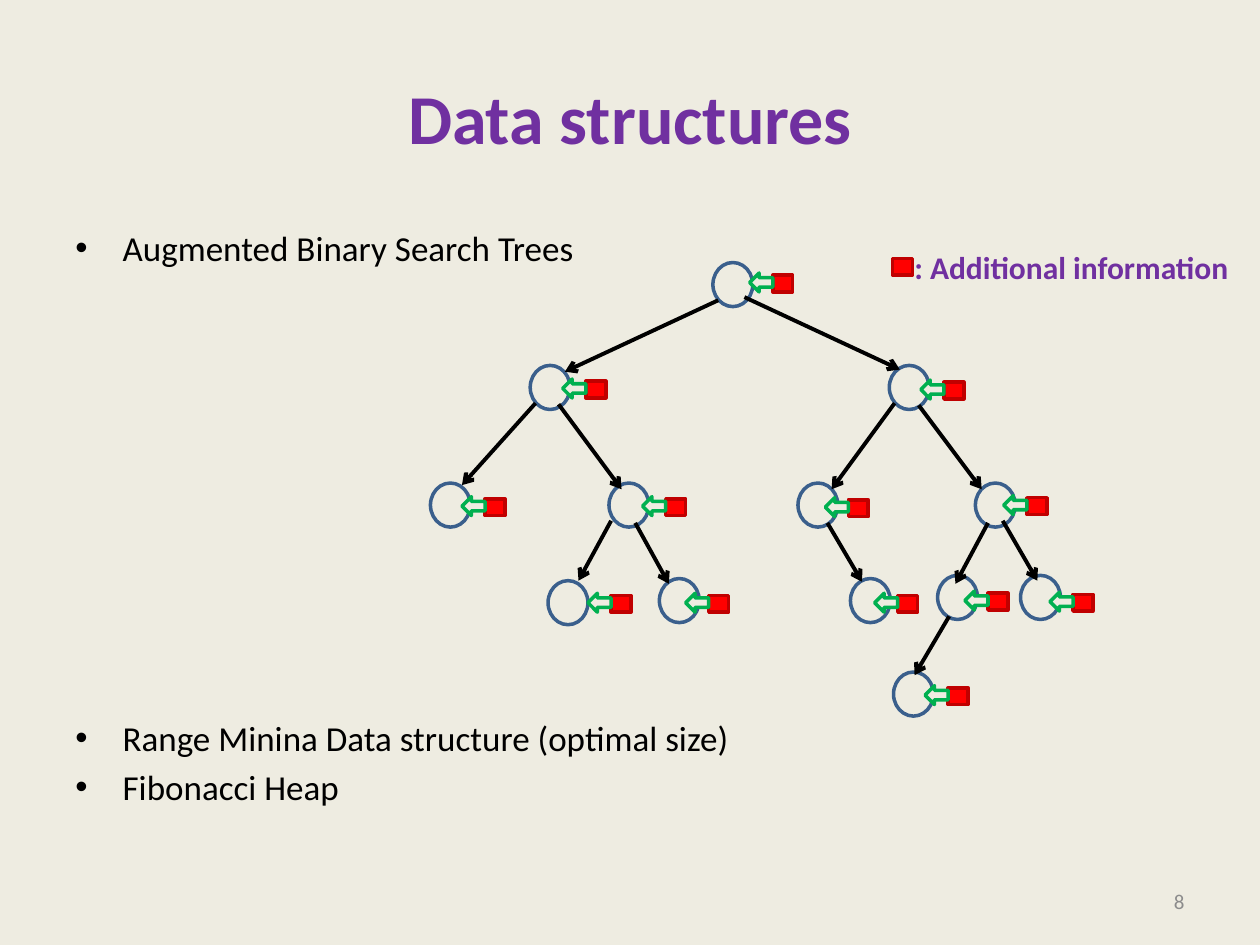
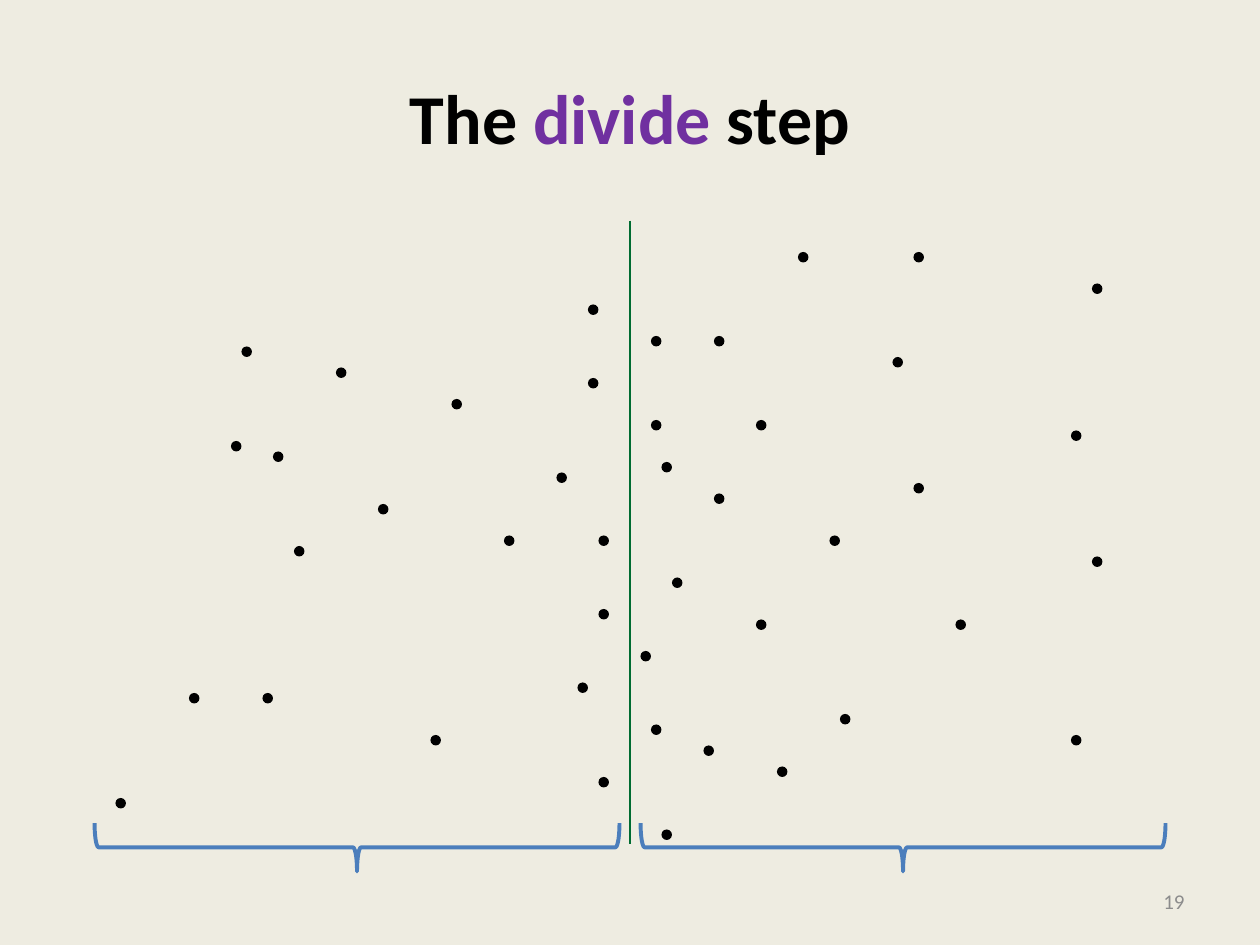
from lxml import etree
from pptx import Presentation
from pptx.dml.color import RGBColor
from pptx.enum.shapes import MSO_CONNECTOR, MSO_SHAPE
from pptx.enum.text import MSO_ANCHOR, PP_ALIGN
from pptx.oxml.ns import qn
from pptx.util import Pt

EMU_PER_PX = 7620  # 120 px to the inch
PAGE_WIDTH, PAGE_HEIGHT = 1200, 900
BLANK_LAYOUT = 6
FONT = "Calibri"

LEFT, CENTER, RIGHT = PP_ALIGN.LEFT, PP_ALIGN.CENTER, PP_ALIGN.RIGHT
TOP, MIDDLE = MSO_ANCHOR.TOP, MSO_ANCHOR.MIDDLE
ELLIPSE, RECTANGLE = MSO_SHAPE.OVAL, MSO_SHAPE.RECTANGLE
LEFT_ARROW, BRACE = MSO_SHAPE.LEFT_ARROW, MSO_SHAPE.RIGHT_BRACE
STRAIGHT = MSO_CONNECTOR.STRAIGHT

PAPER, BLACK, PURPLE, GRAY = "EEECE1", "000000", "7030A0", "8C8C8C"
NODE_BLUE, BRACE_BLUE = "3A5F8C", "4B7EBC"
RED, DARK_RED, GREEN, DIVIDER_GREEN = "FF0000", "C00000", "00B050", "006C31"

# Each tree node: its corner, then the corner of the arrow of its tag
TREE_NODES = [
    ((679, 250), (714, 260)),
    ((505, 348), (536, 361)),
    ((847, 348), (877, 362)),
    ((410, 460), (440, 473)),
    ((580, 460), (612, 473)),
    ((760, 460), (786, 474)),
    ((929, 460), (956, 472)),
    ((522, 553), (560, 565)),
    ((628, 551), (653, 565)),
    ((810, 551), (833, 565)),
    ((893, 548), (919, 563)),
    ((972, 548), (1000, 564)),
    ((851, 640), (881, 653)),
]
TREE_EDGES = [
    ((684, 286), (538, 354)), ((709, 283), (857, 352)),
    ((510, 384), (440, 462)), ((532, 385), (592, 466)),
    ((852, 384), (792, 466)), ((875, 386), (935, 466)),
    ((582, 496), (551, 553)), ((605, 498), (637, 556)),
    ((788, 498), (821, 554)), ((941, 498), (910, 556)),
    ((955, 496), (988, 553)), ((904, 587), (871, 643)),
]

# Column and row of each point on a grid of dot-sized cells
DOT = 10
LEFT_POINTS = [
    (11, 76), (18, 66), (22, 42), (23, 33), (25, 66), (26, 43), (28, 52),
    (32, 35), (36, 48), (41, 70), (43, 38), (48, 51), (53, 45), (55, 65),
    (56, 29), (56, 36), (57, 51), (57, 58), (57, 74),
]
RIGHT_POINTS = [
    (61, 62), (62, 32), (62, 40), (62, 69), (63, 44), (63, 79), (64, 55),
    (67, 71), (68, 32), (68, 47), (72, 40), (72, 59), (74, 73), (76, 24),
    (79, 51), (80, 68), (85, 34), (87, 24), (87, 46), (91, 59), (102, 41),
    (102, 70), (104, 27), (104, 53),
]


def px(length):
    return length * EMU_PER_PX


def color(hex_string):
    return RGBColor.from_string(hex_string)


class Deck:
    def __init__(self):
        self.presentation = Presentation()
        self.presentation.slide_width = px(PAGE_WIDTH)
        self.presentation.slide_height = px(PAGE_HEIGHT)
        self.page = None

    def new_page(self, title_spans, number):
        """Start a slide with its title, given as (text, colour) spans."""
        layout = self.presentation.slide_layouts[BLANK_LAYOUT]
        self.page = self.presentation.slides.add_slide(layout)
        background = self.page.background.fill
        background.solid()
        background.fore_color.rgb = color(PAPER)
        self.text(60, 36, 1080, 150, title_spans, 40, CENTER, MIDDLE, bold=True)
        self.text(860, 834, 280, 48, [(str(number), GRAY)], 12, RIGHT, MIDDLE)

    def text_frame(self, left, top, width, height, anchor=TOP, wrap=True):
        box = self.page.shapes.add_textbox(px(left), px(top), px(width), px(height))
        frame = box.text_frame
        frame.word_wrap = wrap
        frame.vertical_anchor = anchor
        return frame

    def text(self, left, top, width, height, spans, size,
             align=LEFT, anchor=TOP, bold=False, wrap=True):
        frame = self.text_frame(left, top, width, height, anchor, wrap)
        para = frame.paragraphs[0]
        para.alignment = align
        para.font.name, para.font.size, para.font.bold = FONT, Pt(size), bold
        for words, hex_string in spans:
            span = para.add_run()
            span.text = words
            span.font.color.rgb = color(hex_string)

    def bullets(self, left, top, width, height, items, size):
        """Write a bullet list from (text, points of space before) pairs."""
        frame = self.text_frame(left, top, width, height)
        for index, (words, space) in enumerate(items):
            para = frame.add_paragraph() if index else frame.paragraphs[0]
            para.text = words
            properties = para._p.get_or_add_pPr()
            properties.set("marL", str(px(45)))
            properties.set("indent", str(px(-45)))
            etree.SubElement(properties, qn("a:buFont")).set("typeface", "Arial")
            etree.SubElement(properties, qn("a:buChar")).set("char", "•")
            para.space_before = Pt(space)
            para.font.name, para.font.size = FONT, Pt(size)
            para.font.color.rgb = color(BLACK)

    def shape(self, kind, left, top, width, height, fill=None, line=None, weight=2):
        shape = self.page.shapes.add_shape(
            kind, px(left), px(top), px(width), px(height))
        shape.shadow.inherit = False
        if fill:
            shape.fill.solid()
            shape.fill.fore_color.rgb = color(fill)
        else:
            shape.fill.background()
        if line:
            shape.line.color.rgb = color(line)
            shape.line.width = Pt(weight)
        else:
            shape.line.fill.background()
        return shape

    def line(self, start, end, hex_string, weight, arrow=False):
        connector = self.page.shapes.add_connector(
            STRAIGHT, *(px(value) for value in (*start, *end)))
        connector.line.color.rgb = color(hex_string)
        connector.line.width = Pt(weight)
        if arrow:
            outline = connector.line._get_or_add_ln()
            etree.SubElement(outline, qn("a:tailEnd")).set("type", "arrow")
        etree.SubElement(connector._element.spPr, qn("a:effectLst"))

    def info_square(self, left, top):
        self.shape(RECTANGLE, left, top, 19, 16, RED, DARK_RED)

    def info_tag(self, left, top):
        """Draw an additional-information square with an arrow to its node."""
        self.info_square(left + 22, top + 2)
        self.shape(LEFT_ARROW, left, top, 22, 18, PAPER, GREEN)

    def brace_below(self, left, top, width, depth):
        """Draw a brace that opens upwards, as a right brace turned by 90°."""
        shift = (width - depth) // 2
        brace = self.shape(BRACE, left + shift, top - shift, depth, width,
                           line=BRACE_BLUE, weight=2.25)
        brace.rotation = 90


def data_structures(deck):
    deck.new_page([("Data structures", PURPLE)], 8)
    deck.bullets(60, 210, 1080, 594, [
        ("Augmented Binary Search Trees", 0),
        ("Range Minina Data structure (optimal size)", 256),
        ("Fibonacci Heap", 4),
    ], 20)
    for corner, _ in TREE_NODES:
        deck.shape(ELLIPSE, *corner, 38, 42, PAPER, NODE_BLUE)
    for start, end in TREE_EDGES:
        deck.line(start, end, BLACK, 2.25, arrow=True)
    for _, tag_corner in TREE_NODES:
        deck.info_tag(*tag_corner)
    deck.text(859, 230, 326, 48, [(": Additional information", PURPLE)], 18,
              bold=True, wrap=False)
    deck.info_square(850, 246)


def divide_step(deck):
    deck.new_page([("The ", BLACK), ("divide", PURPLE), (" step", BLACK)], 19)
    for column, row in LEFT_POINTS + RIGHT_POINTS:
        deck.shape(ELLIPSE, column * DOT, row * DOT, DOT, DOT, BLACK)
    deck.line((600, 210), (600, 804), DIVIDER_GREEN, 1.5)
    for left in (90, 610):
        deck.brace_below(left, 784, 500, 46)


def main():
    deck = Deck()
    data_structures(deck)
    divide_step(deck)
    deck.presentation.save("out.pptx")


if __name__ == "__main__":
    main()
